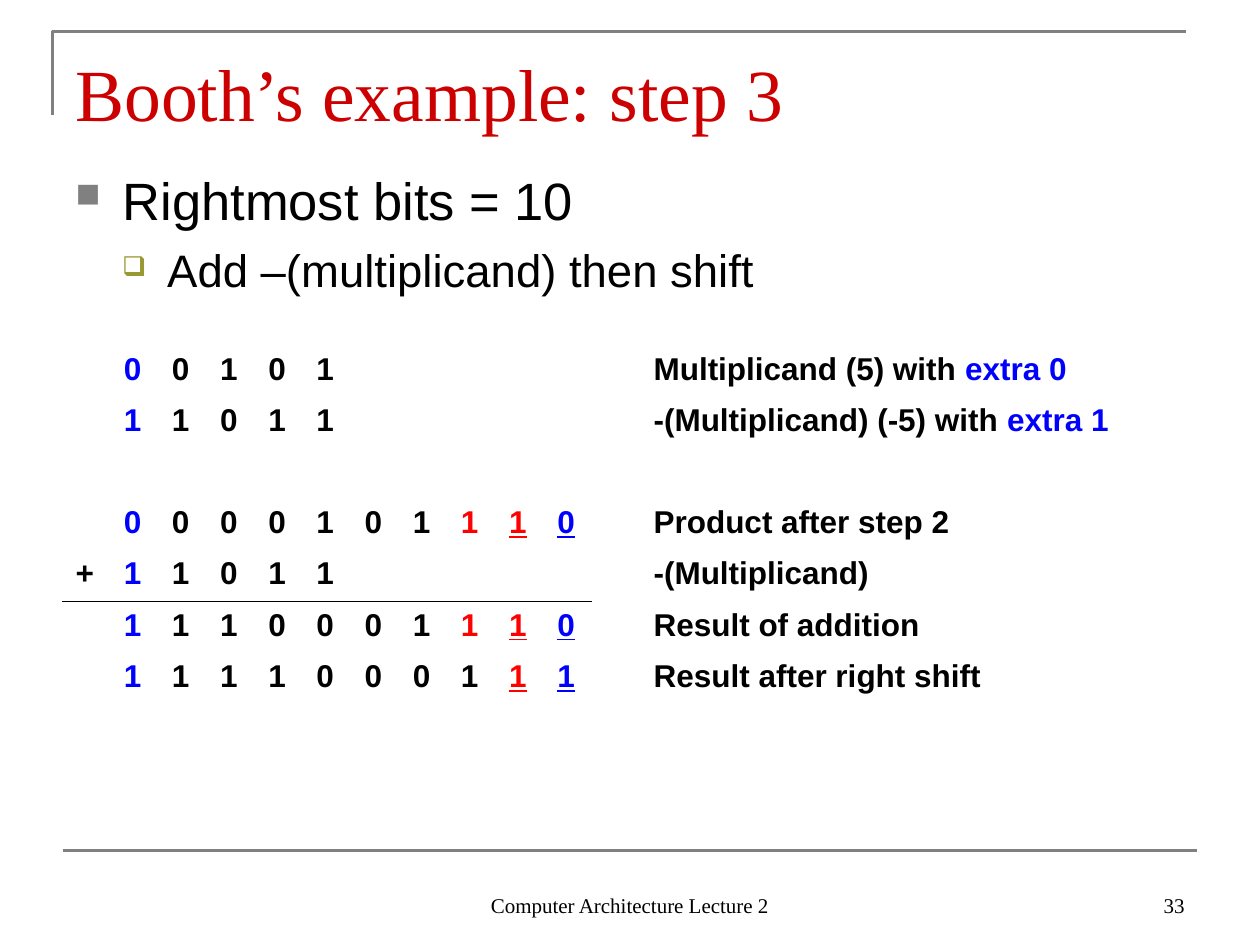
import pptx
import pptx.util
import pptx.dml.color
import pptx.enum.shapes
import pptx.enum.text
import pptx.oxml.ns
from lxml import etree

RGBColor = pptx.dml.color.RGBColor
PP_ALIGN = pptx.enum.text.PP_ALIGN
MSO_ANCHOR = pptx.enum.text.MSO_ANCHOR
qn = pptx.oxml.ns.qn

BLACK = RGBColor(0, 0, 0)
BLUE = RGBColor(0, 0, 255)
RED = RGBColor(255, 0, 0)
TITLE_RED = RGBColor(0xCC, 0, 0)
GRAY = RGBColor(0x80, 0x80, 0x80)
OLIVE = RGBColor(0x99, 0x99, 0x33)
SERIF, SANS = "Times New Roman", "Arial"

CELL = pptx.util.Inches(1 / 12)
COLS, ROWS = 120, 90
BIT_COLS = 12
STYLES = {"k": BLACK, "b": BLUE, "r": RED}
STEPS = [
    ("", "00101", "bkkkk", [("Multiplicand (5) with ", BLACK), ("extra 0", BLUE)]),
    ("", "11011", "bkkkk", [("-(Multiplicand) (-5) with ", BLACK), ("extra 1", BLUE)]),
    ("", "", "", []),
    ("", "0000101110", "bkkkkkkrRB", [("Product after step 2", BLACK)]),
    ("+", "11011", "bkkkk", [("-(Multiplicand)", BLACK)]),
    ("", "1110001110", "bkkkkkkrRB", [("Result of addition", BLACK)]),
    ("", "1111000111", "bkkkkkkkRB", [("Result after right shift", BLACK)]),
]
SUM_ROW = 5


def grid(*cells):
    return [round(c * CELL) for c in cells]


def add_run(p, text, font=SANS, size=18, color=BLACK, bold=False, underline=None):
    r = p.add_run()
    r.text = text
    r.font.name = font
    r.font.size = pptx.util.Pt(size)
    r.font.color.rgb = color
    r.font.bold = bold
    r.font.underline = underline


def add_box(s, box, anchor=MSO_ANCHOR.TOP, inset=0.6):
    tf = s.shapes.add_textbox(*grid(*box)).text_frame
    tf.word_wrap = True
    tf.vertical_anchor = anchor
    tf.margin_top, tf.margin_bottom = grid(inset, inset)
    return tf


def add_bullet(p, char, color, percent, left, hang):
    pPr = p._p.get_or_add_pPr()
    margin, indent = grid(left, -hang)
    pPr.set("marL", str(margin))
    pPr.set("indent", str(indent))
    clr = etree.SubElement(pPr, qn("a:buClr"))
    etree.SubElement(clr, qn("a:srgbClr"), val=str(color))
    etree.SubElement(pPr, qn("a:buSzPct"), val=str(percent * 1000))
    etree.SubElement(pPr, qn("a:buChar"), char=char)


def add_frame(s, left, top, right, bottom):
    x, y, end, drop = grid(left, top, right, bottom)
    builder = s.shapes.build_freeform(x, drop)
    builder.add_line_segments([(x, y), (end, y)], close=False)
    sp = builder.convert_to_shape()
    sp.shadow.inherit = False
    sp.fill.background()
    sp.line.color.rgb = GRAY
    sp.line.width = pptx.util.Pt(1.5)


def add_rule(s, left, right, y):
    x1, x2, y = grid(left, right, y)
    line = s.shapes.add_connector(pptx.enum.shapes.MSO_CONNECTOR.STRAIGHT, x1, y, x2, y)
    line.line.color.rgb = GRAY
    line.line.width = pptx.util.Pt(1.5)
    etree.SubElement(line._element.spPr, qn("a:effectLst"))


def add_title(s, box, text):
    tf = add_box(s, box, inset=1)
    add_run(tf.paragraphs[0], text, SERIF, 42, TITLE_RED)


def add_body(s, box):
    tf = add_box(s, box, inset=1)
    p = tf.paragraphs[0]
    add_bullet(p, "■", GRAY, 65, 4.5, 4.5)
    add_run(p, "Rightmost bits = 10", size=30)
    p = tf.add_paragraph()
    add_bullet(p, "❑", OLIVE, 60, 8.75, 4.3)
    p.space_before = pptx.util.Pt(6.5)
    add_run(p, "Add –(multiplicand) then shift", size=26)


def add_footer(s, box, text, align):
    p = add_box(s, box, anchor=MSO_ANCHOR.BOTTOM).paragraphs[0]
    p.alignment = align
    add_run(p, text, SERIF, 12)


def add_border(cell, side):
    ln = etree.Element(qn("a:" + side), w=str(pptx.util.Pt(0.45)))
    fill = etree.SubElement(ln, qn("a:solidFill"))
    etree.SubElement(fill, qn("a:srgbClr"), val=str(BLACK))
    cell._tc.get_or_add_tcPr().insert(0, ln)


def add_steps(s, box, bit_width):
    left, top, width, height = grid(*box)
    table = s.shapes.add_table(len(STEPS), BIT_COLS + 1, left, top, width, height).table
    table.first_row = table.horz_banding = False
    for i, column in enumerate(table.columns):
        column.width = grid(bit_width if i < BIT_COLS else box[2] - BIT_COLS * bit_width)[0]
    for i, (sign, bits, styles, label) in enumerate(STEPS):
        table.rows[i].height = height // len(STEPS)
        for j in range(BIT_COLS + 1):
            cell = table.cell(i, j)
            cell.fill.background()
            if j < BIT_COLS - 1 and i in (SUM_ROW - 1, SUM_ROW):
                add_border(cell, "lnT" if i == SUM_ROW else "lnB")
        if sign:
            add_run(table.cell(i, 0).text_frame.paragraphs[0], sign, bold=True)
        for j, (bit, style) in enumerate(zip(bits, styles), 1):
            add_run(table.cell(i, j).text_frame.paragraphs[0], bit, bold=True,
                    color=STYLES[style.lower()], underline=style.isupper() or None)
        for text, color in label:
            add_run(table.cell(i, BIT_COLS).text_frame.paragraphs[0], text, color=color, bold=True)


def main():
    prs = pptx.Presentation()
    prs.slide_width, prs.slide_height = grid(COLS, ROWS)
    s = prs.slides.add_slide(prs.slide_layouts[6])
    add_frame(s, 5, 3, 113, 11)
    add_rule(s, 6, 114, 81)
    add_title(s, (6, 3.6, 108, 9.4), "Booth’s example: step 3")
    add_body(s, (6, 15, 108, 14))
    add_footer(s, (41, 82, 38, 6), "Computer Architecture Lecture 2", PP_ALIGN.CENTER)
    add_footer(s, (86, 82, 28, 6), "33", PP_ALIGN.RIGHT)
    add_steps(s, (6, 32.9, 103.4, 34.1), 4.59)
    prs.save("out.pptx")


if __name__ == "__main__":
    main()
